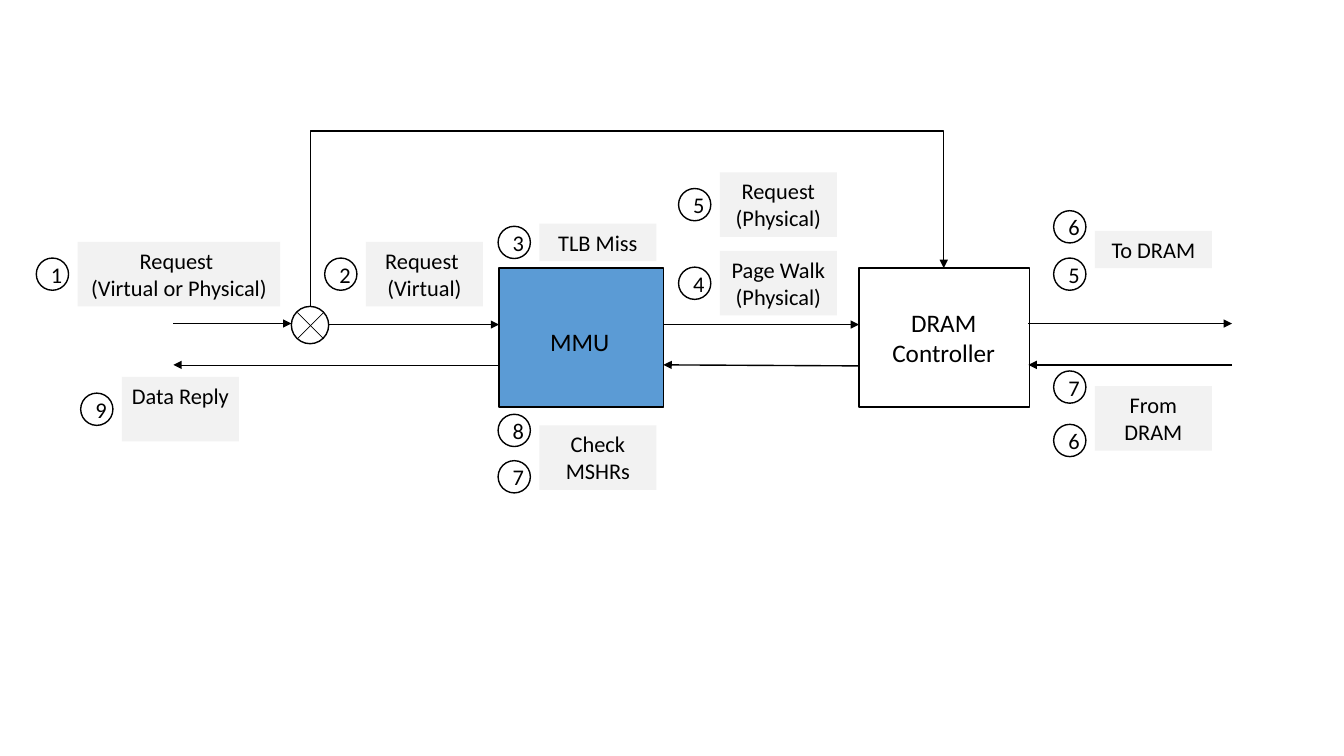
from dataclasses import dataclass
from lxml.etree import SubElement
from pptx import Presentation
from pptx.dml.color import RGBColor as RGB
from pptx.enum.shapes import MSO_CONNECTOR as LINK, MSO_SHAPE as SHAPE
from pptx.enum.text import MSO_ANCHOR as ANCHOR, PP_ALIGN as ALIGN
from pptx.oxml.ns import qn
from pptx.util import Inches, Pt


@dataclass(frozen=True)
class Theme:
    font: str = "Calibri"
    ink: RGB = RGB(0, 0, 0)
    paper: RGB = RGB(0xFF, 0xFF, 0xFF)
    tag: RGB = RGB(0xF2, 0xF2, 0xF2)
    accent: RGB = RGB(0x5B, 0x9B, 0xD5)
    big: int = 18
    small: int = 16
    thin: float = 0.5
    line: float = 1


T = Theme()
BADGE = 0.32  # diameter of a step number
TAG_W = 1.16

# Label text, left, top, width, height, then {step number: top of its badge};
# a top of None centres the badge on the label
STEPS = [
    ("Request \n(Virtual or Physical)", 0.77, 2.4, 2.01, 0.64, {1: None}),
    ("Request \n(Virtual)", 3.63, 2.4, TAG_W, 0.64, {2: None}),
    ("TLB Miss", 5.35, 2.22, TAG_W, 0.37, {3: None}),
    ("Page Walk\n(Physical)", 7.14, 2.49, TAG_W, 0.64, {4: None}),
    ("Request\n(Physical)", 7.14, 1.71, TAG_W, 0.64, {5: None}),
    ("To DRAM", 10.86, 2.29, TAG_W, 0.37, {6: 2.09, 5: 2.56}),
    ("From DRAM", 10.86, 3.83, TAG_W, 0.64, {7: 3.68, 6: 4.21}),
    ("Check MSHRs", 5.35, 4.22, TAG_W, 0.64, {8: 4.11, 7: 4.57}),
    ("Data Reply", 1.21, 3.74, TAG_W, 0.64, {9: None}),
]

# Start x, y, end x, y, line width
FLOWS = [
    (1.72, 3.21, 2.89, 3.21, T.line),
    (3.26, 3.22, 4.95, 3.22, T.line),
    (6.58, 3.22, 8.52, 3.22, T.line),
    (10.2, 3.21, 12.22, 3.21, T.line),
    (12.22, 3.62, 10.2, 3.62, T.line),
    (8.52, 3.63, 6.58, 3.62, T.line),
    (4.95, 3.62, 1.72, 3.62, T.thin),
]


def write(shape, text, size, anchor=ANCHOR.TOP):
    frame = shape.text_frame
    frame.word_wrap = True
    frame.vertical_anchor = anchor
    frame.text = text
    for para in frame.paragraphs:
        para.alignment = ALIGN.CENTER
        para.font.name, para.font.size = T.font, Pt(size)
        para.font.color.rgb = T.ink


def block(shapes, kind, x, y, w, h, fill, edge=True):
    shape = shapes.add_shape(kind, Inches(x), Inches(y), Inches(w), Inches(h))
    shape.shadow.inherit = False
    shape.fill.solid()
    shape.fill.fore_color.rgb = fill
    if edge:
        shape.line.color.rgb = T.ink
        shape.line.width = Pt(T.line)
    else:
        shape.line.fill.background()
    return shape


def unit(shapes, name, box, area, fill):
    """A framed unit with its name in a text box on top."""
    group = shapes.add_group_shape().shapes
    block(group, SHAPE.RECTANGLE, *box, fill)
    write(group.add_textbox(*map(Inches, area)), name, T.big)


def step(shapes, text, x, y, w, h, badges):
    """A grey label with its numbered badges on the left."""
    group = shapes.add_group_shape().shapes
    write(block(group, SHAPE.RECTANGLE, x, y, w, h, T.tag, edge=False), text, T.small)
    for number, top in badges.items():
        if top is None:
            top = y + (h - BADGE) / 2
        dot = block(group, SHAPE.OVAL, x - 0.41, top, BADGE, BADGE, T.paper)
        write(dot, str(number), T.small, ANCHOR.MIDDLE)


def link(shapes, x1, y1, x2, y2, width, head=True, kind=LINK.STRAIGHT):
    line = shapes.add_connector(kind, *map(Inches, (x1, y1, x2, y2)))
    line.line.color.rgb = T.ink
    line.line.width = Pt(width)
    if head:
        SubElement(line.line._get_or_add_ln(), qn("a:tailEnd"), type="triangle")
    SubElement(line._element.spPr, qn("a:effectLst"))
    return line


def bypass(shapes, x1, y1, x2, y2, top):
    """An arrow that rises to top, runs across and drops to its end."""
    midx, midy = (x1 + x2) / 2, (y1 + y2) / 2
    halfw, halfh = (y1 - y2) / 2, (x2 - x1) / 2
    # Drawn lying on its side, then turned by 90 degrees
    line = link(shapes, midx + halfw, midy + halfh, midx - halfw, midy - halfh,
                T.line, kind=LINK.ELBOW)
    props = line._element.spPr
    props.find(qn("a:xfrm")).set("rot", "5400000")
    geom = props.find(qn("a:prstGeom"))
    guides = geom.find(qn("a:avLst"))
    if guides is None:
        guides = SubElement(geom, qn("a:avLst"))
    bend = round((y1 - top) / (y1 - y2) * 100000)
    SubElement(guides, qn("a:gd"), name="adj1", fmla=f"val {bend}")


def switch(shapes, x, y, size):
    """A circle with a cross that splits the requests."""
    group = shapes.add_group_shape().shapes
    block(group, SHAPE.OVAL, x, y, size, size, T.paper)
    near, far = 0.06, size - 0.05
    link(group, x + far, y + near, x + near, y + far, T.thin, head=False)
    link(group, x + near, y + near, x + far, y + far, T.thin, head=False)


def main():
    deck = Presentation()
    deck.slide_width, deck.slide_height = Inches(13.33), Inches(7.5)
    shapes = deck.slides.add_slide(deck.slide_layouts[6]).shapes

    # Units
    unit(shapes, "DRAM Controller", (8.52, 2.66, 1.69, 1.38),
         (8.63, 3, 1.46, 0.71), T.paper)
    unit(shapes, "MMU", (4.95, 2.66, 1.63, 1.38), (5.11, 3.19, 1.28, 0.4), T.accent)
    switch(shapes, 2.89, 3.04, 0.37)

    # Flows
    for flow in FLOWS:
        link(shapes, *flow)
    bypass(shapes, 3.08, 3.04, 9.36, 2.66, 1.3)

    # Steps
    for item in STEPS:
        step(shapes, *item)

    deck.save("out.pptx")


main()
